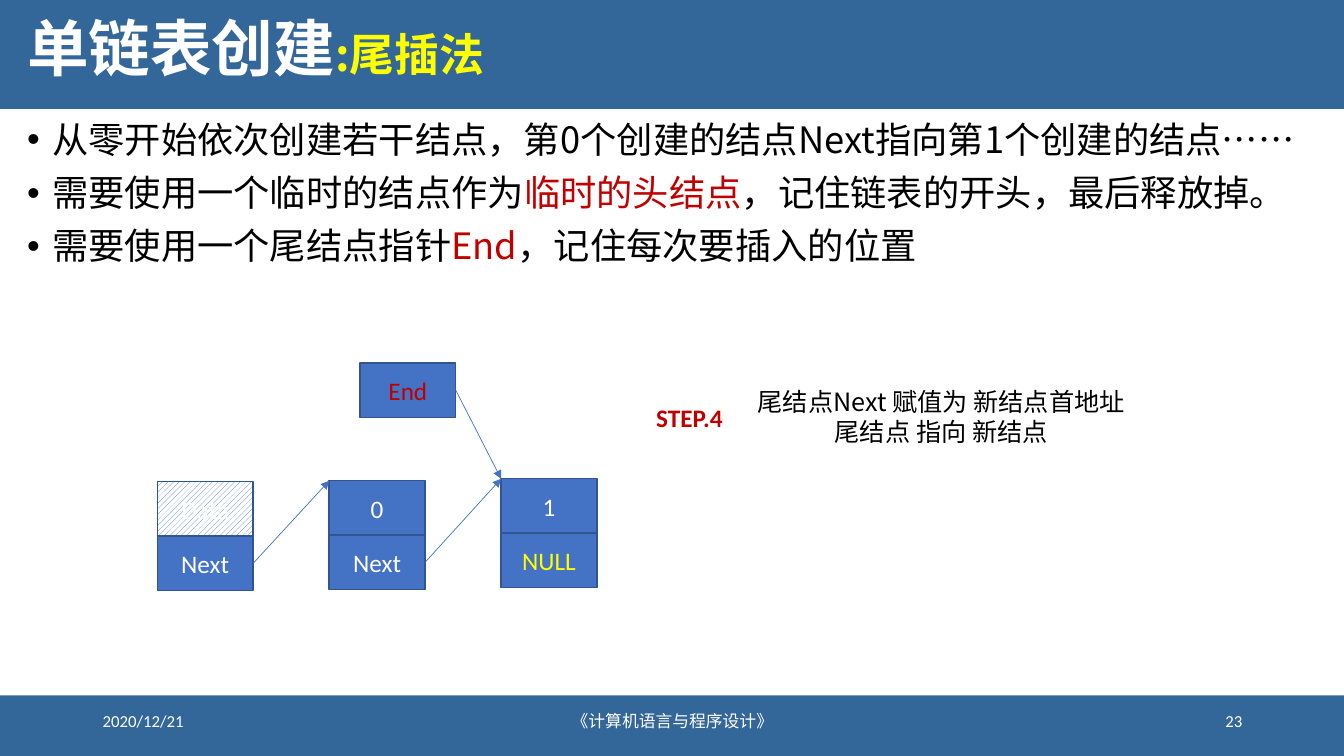
import pptx
import pptx.util
import pptx.dml.color
import pptx.enum.dml
import pptx.enum.shapes
import pptx.enum.text
import pptx.oxml
from pptx.oxml.ns import qn

Inches = pptx.util.Inches
Pt = pptx.util.Pt
ALIGN = pptx.enum.text.PP_ALIGN
ANCHOR = pptx.enum.text.MSO_ANCHOR

LATIN, HAN = "Calibri", "Noto Sans CJK SC"
WHITE, BLACK, RED, YELLOW = "FFFFFF", "000000", "C00000", "FFFF00"
BAND, BLUE, EDGE = "336699", "4472C4", "325491"

BANDS = [(0, 1.08), (6.9, 0.6)]  # top, height
TITLE = [("单链表创建", WHITE, 44), (":尾插法", YELLOW, 32)]
BULLETS = [
    [("从零开始依次创建若干结点，第0个创建的结点Next指向第1个创建的结点……", BLACK)],
    [("需要使用一个临时的结点作为", BLACK), ("临时的头结点", RED),
     ("，记住链表的开头，最后释放掉。", BLACK)],
    [("需要使用一个尾结点指针", BLACK), ("End", RED), ("，记住每次要插入的位置", BLACK)],
]
STEP = "STEP.4"
STEP_NOTES = ["尾结点Next 赋值为 新结点首地址", "尾结点 指向 新结点"]
FOOTERS = [  # text, left, width, alignment
    ("2020/12/21", 0.92, 3, ALIGN.LEFT),
    ("《计算机语言与程序设计》", 4.42, 4.5, ALIGN.CENTER),
    ("23", 9.42, 3, ALIGN.RIGHT),
]
NODES = [  # data, link, link colour, top
    ("Data", "Next", WHITE, 4.78),
    ("0", "Next", WHITE, 4.77),
    ("1", "NULL", YELLOW, 4.75),
]
NODE_LEFT, NODE_STEP = 1.56, 1.705
CELL_WIDTH, CELL_HEIGHT = 0.95, 0.54

presentation = pptx.Presentation()
presentation.slide_width, presentation.slide_height = Inches(13.33), Inches(7.5)
slide = presentation.slides.add_slide(presentation.slide_layouts[6])


def rgb(value):
    return pptx.dml.color.RGBColor.from_string(value)


def add_run(paragraph, text, color, size, font=LATIN, bold=False):
    run = paragraph.add_run()
    run.text = text
    run.font.size, run.font.bold, run.font.name = Pt(size), bold, font
    run.font.color.rgb = rgb(color)
    east_asian = pptx.oxml.parse_xml(
        '<a:ea xmlns:a="http://schemas.openxmlformats.org/drawingml/2006/main" '
        f'typeface="{HAN}"/>')
    run.font._element.find(qn("a:latin")).addnext(east_asian)


def add_text(left, top, width, height, paragraphs, size, font=LATIN,
             align=ALIGN.LEFT, anchor=ANCHOR.TOP, bold=False, wrap=True):
    """Add a text box; each paragraph is a list of (text, colour[, size])."""
    box = slide.shapes.add_textbox(*map(Inches, (left, top, width, height)))
    frame = box.text_frame
    frame.word_wrap, frame.vertical_anchor = wrap, anchor
    for index, runs in enumerate(paragraphs):
        paragraph = frame.paragraphs[0] if index == 0 else frame.add_paragraph()
        paragraph.alignment = align
        for text, color, *own_size in runs:
            add_run(paragraph, text, color, own_size[0] if own_size else size, font, bold)
    return frame


def add_rectangle(shapes, left, top, width, height, fill):
    shape = shapes.add_shape(pptx.enum.shapes.MSO_SHAPE.RECTANGLE,
                             *map(Inches, (left, top, width, height)))
    shape.shadow.inherit = False
    shape.fill.solid()
    shape.fill.fore_color.rgb = rgb(fill)
    shape.line.fill.background()
    return shape


def add_cell(shapes, left, top, text, color):
    cell = add_rectangle(shapes, left, top, CELL_WIDTH, CELL_HEIGHT, BLUE)
    cell.line.color.rgb, cell.line.width = rgb(EDGE), Pt(1)
    cell.text_frame.vertical_anchor = ANCHOR.MIDDLE
    paragraph = cell.text_frame.paragraphs[0]
    paragraph.alignment = ALIGN.CENTER
    add_run(paragraph, text, color, 18)
    return cell


def add_arrow(source, target):
    """Point from the middle of source's right side to target's top left corner."""
    arrow = slide.shapes.add_connector(pptx.enum.shapes.MSO_CONNECTOR.STRAIGHT,
                                       0, 0, target.left, target.top)
    arrow.begin_connect(source, 3)
    arrow.line.color.rgb, arrow.line.width = rgb(BLUE), Pt(0.5)
    line = arrow.line._get_or_add_ln()
    line.append(line.makeelement(qn("a:tailEnd"), {"type": "triangle"}))
    properties = line.getparent()
    properties.append(properties.makeelement(qn("a:effectLst"), {}))


for top, height in BANDS:
    add_rectangle(slide.shapes, 0, top, 13.33, height, BAND)
for text, left, width, align in FOOTERS:
    add_text(left, 6.95, width, 0.4, [[(text, WHITE)]], 12, align=align, anchor=ANCHOR.MIDDLE)

title = add_text(0.17, 0, 12.87, 1.03, [TITLE], 44, HAN, anchor=ANCHOR.MIDDLE, bold=True)
title.paragraphs[0].line_spacing = 0.9

body = add_text(0.17, 1.16, 12.87, 1.71, BULLETS, 25.9, HAN)
for index, paragraph in enumerate(body.paragraphs):
    properties = paragraph._p.get_or_add_pPr()
    properties.set("marL", str(Inches(0.25)))
    properties.set("indent", str(-Inches(0.25)))
    for tag, attributes in (("a:buFont", {"typeface": "Arial"}), ("a:buChar", {"char": "•"})):
        properties.append(properties.makeelement(qn(tag), attributes))
    paragraph.line_spacing = 0.9
    paragraph.space_before = Pt(10 if index else 0)

data_cells, link_cells = [], []
for index, (data, link, link_color, top) in enumerate(NODES):
    node = slide.shapes.add_group_shape()
    left = NODE_LEFT + index * NODE_STEP
    data_cells.append(add_cell(node.shapes, left, top, data, WHITE))
    link_cells.append(add_cell(node.shapes, left, top + CELL_HEIGHT, link, link_color))

head_fill = data_cells[0].fill
head_fill.patterned()
head_fill.pattern = pptx.enum.dml.MSO_PATTERN.WIDE_UPWARD_DIAGONAL
head_fill.fore_color.rgb, head_fill.back_color.rgb = rgb(BLUE), rgb(WHITE)

end_cell = add_cell(slide.shapes, 3.57, 3.6, "End", RED)
for source, target in zip(link_cells, data_cells[1:]):
    add_arrow(source, target)
add_arrow(end_cell, data_cells[-1])

add_text(6.41, 3.94, 0.87, 0.4, [[(STEP, RED)]], 18, bold=True, wrap=False)
add_text(7.36, 3.78, 3.95, 0.71, [[(note, BLACK)] for note in STEP_NOTES], 18, HAN,
         align=ALIGN.CENTER)

presentation.save("out.pptx")
